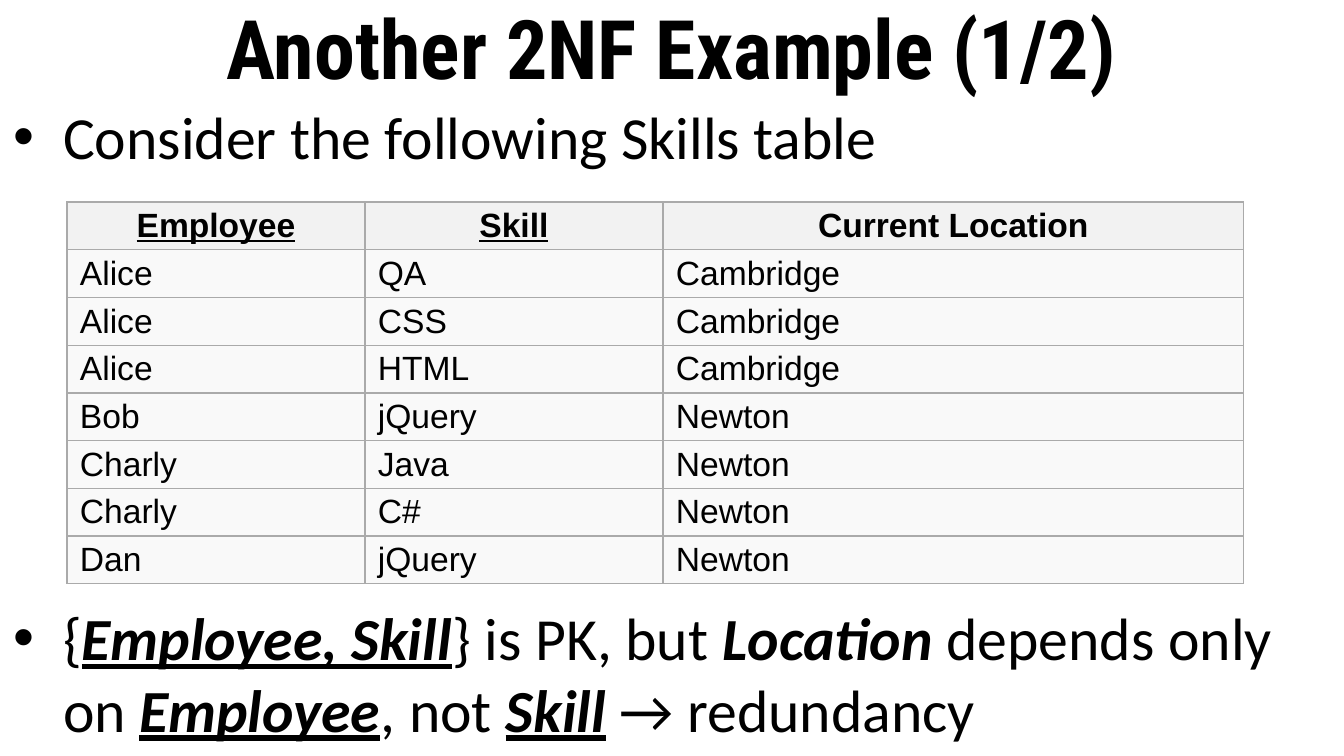
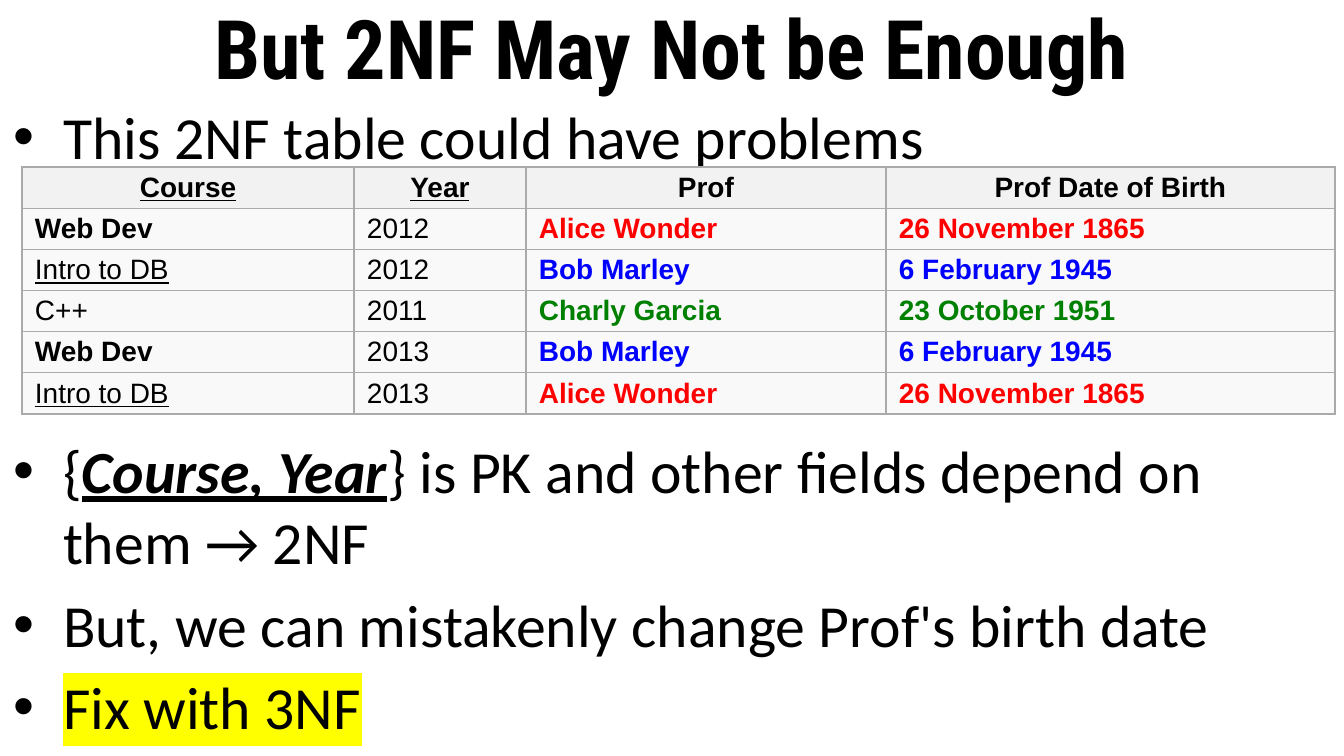
from lxml import etree
from pptx import Presentation
from pptx.dml.color import RGBColor
from pptx.enum.text import MSO_ANCHOR, MSO_AUTO_SIZE, PP_ALIGN
from pptx.oxml.ns import qn
from pptx.util import Pt

MID, TOP = MSO_ANCHOR.MIDDLE, MSO_ANCHOR.TOP
LEFT, CENTER = PP_ALIGN.LEFT, PP_ALIGN.CENTER
FIXED = MSO_AUTO_SIZE.NONE

BLACK = RGBColor(0x00, 0x00, 0x00)
RED = RGBColor(0xFF, 0x00, 0x00)
BLUE = RGBColor(0x00, 0x00, 0xFF)
GREEN = RGBColor(0x00, 0x80, 0x00)
YELLOW = RGBColor(0xFF, 0xFF, 0x00)
HEAD = RGBColor(0xF2, 0xF2, 0xF2)
CELL = RGBColor(0xF9, 0xF9, 0xF9)
EDGE = RGBColor(0xAA, 0xAA, 0xAA)

WIDE, HIGH = 1344, 756
BAND = 93
INDENT = 50
SPACE = 5.8
LAYOUT = 1
KEY = {"bold": True, "italic": True, "underline": True}
TERM = {"bold": True, "italic": True}


def px(n):
    return round(n * 9144000 / WIDE)


def add(parent, tag, **attrs):
    node = etree.SubElement(parent, qn(tag))
    for name, value in attrs.items():
        node.set(name, str(value))
    return node


def write(par, text, face="Calibri", size=32, color=BLACK, bold=False,
          italic=False, underline=False, mark=None):
    """Add one run; mark is its highlight colour."""
    run = par.add_run()
    run.text = text
    font = run.font
    font.size, font.bold, font.italic = Pt(size), bold, italic
    font.underline = underline
    font.color.rgb = color
    if mark is not None:
        light = etree.Element(qn("a:highlight"))
        add(light, "a:srgbClr", val=mark)
        run._r.get_or_add_rPr().find(qn("a:solidFill")).addnext(light)
    font.name = face


def bullet(par):
    props = par._p.get_or_add_pPr()
    props.set("marL", str(px(INDENT)))
    props.set("indent", str(-px(INDENT)))
    add(add(props, "a:buClr"), "a:srgbClr", val=BLACK)
    add(props, "a:buFont", typeface="Arial")
    add(props, "a:buChar", char="•")


def border(cell):
    props = cell._tc.get_or_add_tcPr()
    for side in ("a:lnL", "a:lnR", "a:lnT", "a:lnB"):
        line = add(props, side, w=Pt(0.75))
        add(add(line, "a:solidFill"), "a:srgbClr", val=EDGE)


class Deck:
    def __init__(self):
        self.prs = Presentation()
        self.prs.slide_width, self.prs.slide_height = px(WIDE), px(HIGH)
        self.slide = None

    def place(self, shape, top, height, anchor):
        """Set a placeholder across the full slide width."""
        shape.left, shape.top = 0, px(top)
        shape.width, shape.height = px(WIDE), px(height)
        frame = shape.text_frame
        frame.word_wrap, frame.auto_size = True, FIXED
        frame.vertical_anchor = anchor
        frame.margin_left = frame.margin_right = px(13)
        frame.margin_top = frame.margin_bottom = px(7)
        return frame

    def title(self, text):
        """Start a slide with its title."""
        self.slide = self.prs.slides.add_slide(self.prs.slide_layouts[LAYOUT])
        par = self.place(self.slide.shapes.title, 0, BAND, MID).paragraphs[0]
        par.alignment = CENTER
        write(par, text, face="Roboto Condensed", size=44, bold=True)

    def body(self, gap, *items):
        """Write bullets, with gap points left for the table after the first."""
        frame = self.place(self.slide.placeholders[1], BAND, HIGH - BAND, TOP)
        for i, runs in enumerate(items):
            par = frame.add_paragraph() if i else frame.paragraphs[0]
            bullet(par)
            par.alignment = LEFT
            par.space_before = Pt((0, gap)[i] if i < 2 else SPACE)
            for text, form in runs:
                write(par, text, **form)

    def table(self, left, top, widths, height, size, rows, styles):
        """Draw a grid whose first two columns are keys."""
        grid = self.slide.shapes.add_table(
            len(rows), len(widths), px(left), px(top),
            px(sum(widths)), px(height)).table
        grid.first_row = grid.horz_banding = False
        for col, width in zip(grid.columns, widths):
            col.width = px(width)
        for r, row in enumerate(rows):
            grid.rows[r].height = px(height / len(rows))
            for c, text in enumerate(row):
                if r:
                    form = styles.get(text, {})
                else:
                    form = {"bold": True, "underline": c < 2}
                self.cell(grid.cell(r, c), text, CELL if r else HEAD,
                          LEFT if r else CENTER, size=size, **form)

    def cell(self, cell, text, fill, align, **form):
        border(cell)
        cell.fill.solid()
        cell.fill.fore_color.rgb = fill
        cell.vertical_anchor = MID
        cell.margin_left = cell.margin_right = px(13)
        cell.margin_top = cell.margin_bottom = px(4)
        par = cell.text_frame.paragraphs[0]
        par.alignment = align
        write(par, text, face="Arial", **form)


def skills(deck):
    deck.title("Another 2NF Example (1/2)")
    deck.body(
        229.9,
        [("Consider the following Skills table", {})],
        [("{", {}), ("Employee, Skill", KEY), ("} is PK, but ", {}),
         ("Location", TERM), (" depends only on ", {}), ("Employee", KEY),
         (", not ", {}), ("Skill", KEY), (" → redundancy", {})])
    rows = [
        ("Employee", "Skill", "Current Location"),
        ("Alice", "QA", "Cambridge"),
        ("Alice", "CSS", "Cambridge"),
        ("Alice", "HTML", "Cambridge"),
        ("Bob", "jQuery", "Newton"),
        ("Charly", "Java", "Newton"),
        ("Charly", "C#", "Newton"),
        ("Dan", "jQuery", "Newton"),
    ]
    deck.table(67, 202, (298, 298, 581), 382, 18, rows, {})


def courses(deck):
    deck.title("But 2NF May Not be Enough")
    deck.body(
        140.2,
        [("This 2NF table could have problems", {})],
        [("{", {}), ("Course, Year", KEY),
         ("} is PK and other fields depend on them → 2NF", {})],
        [("But, we can mistakenly change Prof's birth date", {})],
        [("Fix with 3NF", {"mark": YELLOW})])
    alice = ("Alice Wonder", "26 November 1865")
    bob = ("Bob Marley", "6 February 1945")
    charly = ("Charly Garcia", "23 October 1951")
    rows = [
        ("Course", "Year", "Prof", "Prof Date of Birth"),
        ("Web Dev", "2012", *alice),
        ("Intro to DB", "2012", *bob),
        ("C++", "2011", *charly),
        ("Web Dev", "2013", *bob),
        ("Intro to DB", "2013", *alice),
    ]
    styles = {"Web Dev": {"bold": True}, "Intro to DB": {"underline": True}}
    for prof, color in ((alice, RED), (bob, BLUE), (charly, GREEN)):
        for text in prof:
            styles[text] = {"bold": True, "color": color}
    deck.table(22, 167, (332, 172, 360, 449), 247, 15, rows, styles)


def main():
    deck = Deck()
    skills(deck)
    courses(deck)
    deck.prs.save("out.pptx")


if __name__ == "__main__":
    main()
